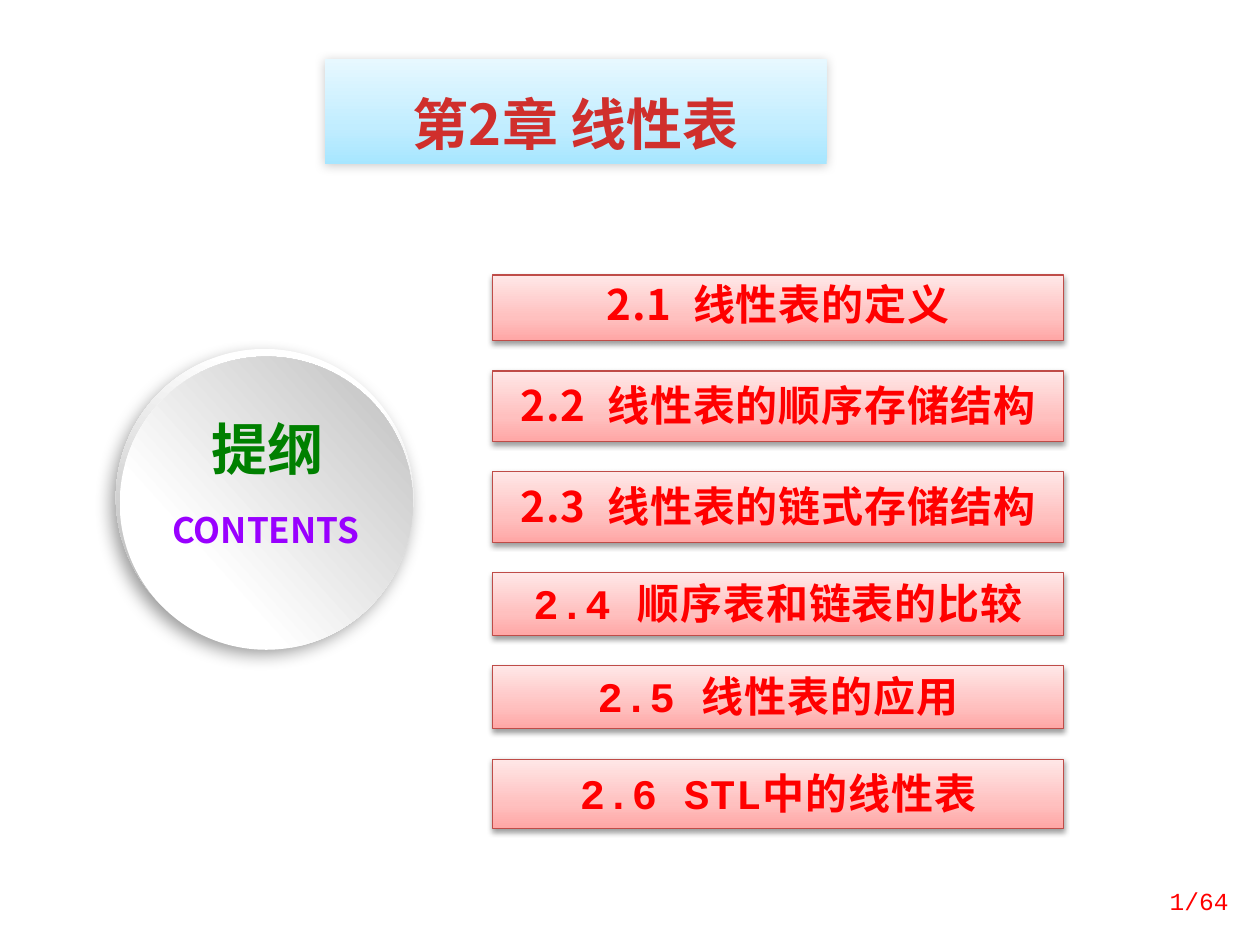
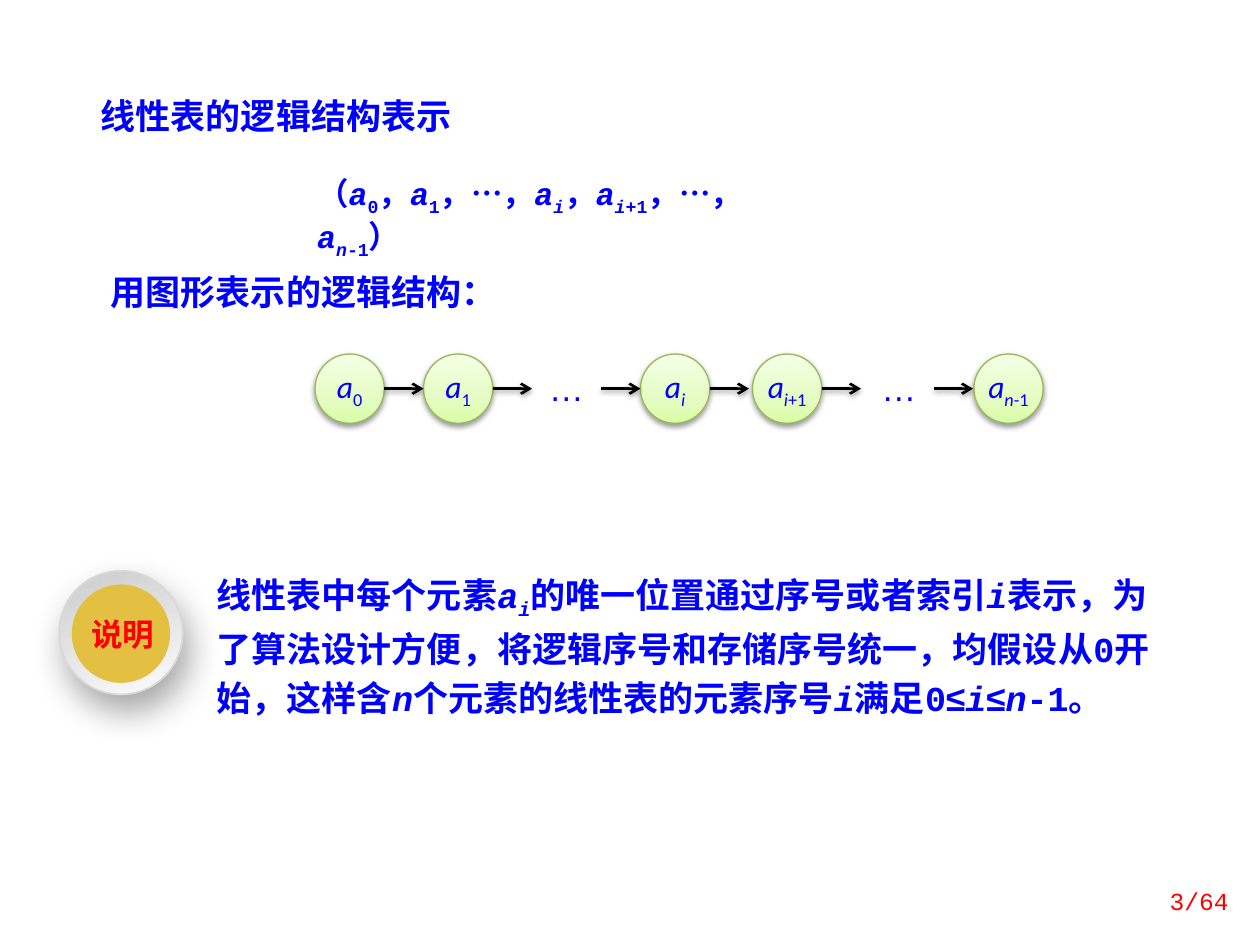
import pptx
import pptx.dml.color
import pptx.enum.dml
import pptx.enum.shapes
import pptx.enum.text
import pptx.oxml
import pptx.oxml.ns
import pptx.util
from dataclasses import dataclass
from lxml import etree

Pt = pptx.util.Pt
qn = pptx.oxml.ns.qn
ALIGN = pptx.enum.text.PP_ALIGN
ANCHOR = pptx.enum.text.MSO_ANCHOR
SHAPE = pptx.enum.shapes.MSO_SHAPE


@dataclass(frozen=True)
class Theme:
    red: str = "FF0000"
    blue: str = "0000FF"
    green: str = "008000"
    purple: str = "9900FF"
    crimson: str = "D02F2C"
    black: str = "000000"
    white: str = "FFFFFF"
    gold: str = "E3BF42"
    bar_line: str = "BF4C48"
    node_line: str = "98B955"
    ring_line: str = "D9D9D9"
    title_fill: tuple = (270, (0, "A7E6FF"), (35, "C1EDFF"), (100, "E7F8FF"))
    bar_fill: tuple = (270, (0, "FFA6A5"), (35, "FFC0BF"), (100, "FFE7E7"))
    node_fill: tuple = (270, (0, "DAFDA7"), (35, "E4FCC2"), (100, "F5FFE7"))
    rim_fill: tuple = (107, (17, "FFFFFF"), (88, "B8B8B8"))
    disc_fill: tuple = (318, (29, "FFFFFF"), (98, "BFBFBF"))
    ring_fill: tuple = (70, (0, "CCCCCC"), (100, "FCFCFC"))
    title_shadow: tuple = (20, 6, 1, 135)
    soft_shadow: tuple = (38, 3.1, 1.6, 90)
    rim_shadow: tuple = (39, 10, 5, 123)
    ring_shadow: tuple = (34, 20, 10, 70)
    chinese: str = "Noto Sans CJK SC"
    heading_face: str = "Noto Sans CJK JP"
    mono: str = "Courier New"
    node_face: str = "Calibri"
    symbol: str = "Arial"
    heading: int = 32
    item: int = 24
    body: int = 20
    small: int = 18
    footer: int = 14


THEME = Theme()

CHAPTER = "第2章 线性表"
OUTLINE = [
    ("2.1", "线性表的定义", THEME.chinese, 37.5, 2.9),
    ("2.2", "线性表的顺序存储结构", THEME.chinese, 40.3, 5.8),
    ("2.3", "线性表的链式存储结构", THEME.chinese, 40.3, 5.8),
    ("2.4", "顺序表和链表的比较", THEME.mono, 36, 3.6),
    ("2.5", "线性表的应用", THEME.mono, 36, 3.6),
    ("2.6", "STL中的线性表", THEME.mono, 39.6, 5.8),
]
LOGIC_TITLE = "线性表的逻辑结构表示"
GRAPH_CAPTION = "用图形表示的逻辑结构："

# styles are letters: i italic, s subscript, y symbol face, g wide gap
A0 = [("a", "i"), ("0", "s")]
A1 = [("a", "i"), ("1", "s")]
AI = [("a", "i"), ("i", "is")]
AI1 = AI + [("+1", "s")]
AN1 = [("a", "i"), ("n", "is"), ("-1", "s")]
COMMA, DOTS = [("，", "")], [("…", "y")]
FORMULA = ([("（", "")] + A0 + COMMA + A1 + COMMA + DOTS + COMMA + AI + COMMA
           + AI1 + COMMA + DOTS + COMMA + AN1 + [("）", "")])
CHAIN = [(180, A0), (242, A1), (304, None), (366, AI), (430, AI1), (494, None), (556.5, AN1)]
NOTE_LABEL = "说明"
NOTE = [("线性表中每个元素", "")] + AI + [
    ("的唯一位置通过序号或者索引", ""), ("i", "i"),
    ("表示，为了算法设计方便，将逻辑序号和存储序号统一，均假设从0开始，这样含", ""),
    ("n", "i"), ("个元素的线性表的元素序号", ""), ("i", "i"), ("满足0", ""),
    ("≤", "y"), ("i", "i"), ("≤", "y"), ("n", "i"), ("-1。", ""),
]


def rgb(color):
    return pptx.dml.color.RGBColor.from_string(color)


def paint(shape, fill, line=None, line_width=0.75):
    if isinstance(fill, str):
        shape.fill.solid()
        shape.fill.fore_color.rgb = rgb(fill)
    else:
        angle, *stops = fill
        shape.fill.background()
        properties = shape._element.spPr
        gradient = etree.Element(qn("a:gradFill"), rotWithShape="1")
        stop_list = etree.SubElement(gradient, qn("a:gsLst"))
        for position, color in stops:
            stop = etree.SubElement(stop_list, qn("a:gs"), pos=str(position * 1000))
            etree.SubElement(stop, qn("a:srgbClr"), val=color)
        etree.SubElement(gradient, qn("a:lin"), ang=str(angle * 60000), scaled="0")
        properties.replace(properties.find(qn("a:noFill")), gradient)
    if line:
        shape.line.color.rgb = rgb(line)
        shape.line.width = Pt(line_width)
    else:
        shape.line.fill.background()


def cast_shadow(shape, shadow):
    properties = shape._element.spPr
    effects = properties.find(qn("a:effectLst"))
    if effects is None:
        effects = etree.SubElement(properties, qn("a:effectLst"))
    alpha, blur, distance, direction = shadow
    outer = etree.SubElement(effects, qn("a:outerShdw"), blurRad=str(int(Pt(blur))),
                             dist=str(int(Pt(distance))), dir=str(direction * 60000),
                             rotWithShape="0")
    color = etree.SubElement(outer, qn("a:srgbClr"), val=THEME.black)
    etree.SubElement(color, qn("a:alpha"), val=str(alpha * 1000))


def add_figure(slide, kind, box, fill, line=None, shadow=None, line_width=0.75):
    shape = slide.shapes.add_shape(kind, *map(Pt, box))
    shape.shadow.inherit = False
    paint(shape, fill, line, line_width)
    if shadow:
        cast_shadow(shape, shadow)
    return shape


def write(shape, pieces, size, color, face, bold=True, align=ALIGN.LEFT, anchor=ANCHOR.TOP,
          insets=(7.2, 3.6, 7.2, 3.6), leading=None, spacing=None, east_asian=THEME.chinese,
          wrap=True):
    frame = shape.text_frame
    frame.word_wrap = wrap
    frame.auto_size = pptx.enum.text.MSO_AUTO_SIZE.NONE
    frame.vertical_anchor = anchor
    frame.margin_left, frame.margin_top, frame.margin_right, frame.margin_bottom = map(Pt, insets)
    paragraph = frame.paragraphs[0]
    paragraph.alignment = align
    if leading:
        paragraph.line_spacing = leading
    font = paragraph.font
    font.size, font.bold, font.name = Pt(size), bold, face
    font.color.rgb = rgb(color)
    defaults = paragraph._p.pPr.find(qn("a:defRPr"))
    if east_asian:
        defaults.find(qn("a:latin")).addnext(
            etree.Element(qn("a:ea"), typeface=east_asian))
    if spacing:
        defaults.set("spc", str(spacing))
    for text, style in [(pieces, "")] if isinstance(pieces, str) else pieces:
        run = paragraph.add_run()
        run.text = text
        if "i" in style:
            run.font.italic = True
        if "y" in style:
            run.font.name = THEME.symbol
        if "s" in style:
            run.font._element.set("baseline", "-25000")
        if "g" in style:
            run.font._element.set("spc", "640")


def add_text(slide, box, pieces, size, color, face, **options):
    write(slide.shapes.add_textbox(*map(Pt, box)), pieces, size, color, face, **options)


def place_title(slide, box, text, size, color, face, **options):
    title = slide.shapes.title
    title.left, title.top, title.width, title.height = map(Pt, box)
    write(title, text, size, color, face, **options)
    return title


def add_page_number(slide, number):
    add_text(slide, (641.5, 500.4, 67.7, 28.8), f"{number}/64", THEME.footer, THEME.red,
             THEME.mono, bold=False, align=ALIGN.RIGHT, anchor=ANCHOR.MIDDLE)


def add_arrow(slide, start, end, y):
    arrow = slide.shapes.add_connector(pptx.enum.shapes.MSO_CONNECTOR.STRAIGHT,
                                       Pt(start), Pt(y), Pt(end), Pt(y))
    arrow.line.color.rgb = rgb(THEME.black)
    arrow.line.width = Pt(1.5)
    etree.SubElement(arrow.line._get_or_add_ln(), qn("a:tailEnd"), type="arrow")
    cast_shadow(arrow, THEME.soft_shadow)


def build_outline(slide):
    title = place_title(slide, (185.8, 33.8, 286.6, 59.8), CHAPTER, THEME.heading,
                        THEME.crimson, THEME.heading_face, align=ALIGN.CENTER,
                        insets=(7.2, 17.3, 7.2, 3.6), east_asian=THEME.heading_face)
    paint(title, THEME.title_fill)
    cast_shadow(title, THEME.title_shadow)

    top, gap = 157.2, 17.3
    for number, topic, face, height, inset in OUTLINE:
        bar = add_figure(slide, SHAPE.RECTANGLE, (281.5, top, 326.2, height),
                         THEME.bar_fill, THEME.bar_line, THEME.soft_shadow)
        space = (" ", "g" if face == THEME.chinese else "")
        write(bar, [(number, ""), space, (topic, "")], THEME.item, THEME.red, face,
              align=ALIGN.CENTER, insets=(7.2, inset, 7.2, inset), leading=Pt(28), spacing=50)
        top += height + gap

    add_figure(slide, SHAPE.OVAL, (66.2, 199.4, 170, 170), THEME.rim_fill,
               shadow=THEME.rim_shadow)
    add_figure(slide, SHAPE.OVAL, (68.4, 203.8, 167.5, 167.5), THEME.disc_fill)
    add_text(slide, (85.7, 287.3, 132.5, 31.7), "CONTENTS", THEME.body, THEME.purple,
             THEME.chinese, align=ALIGN.CENTER)
    add_text(slide, (97.2, 233.3, 110.9, 46.1), "提纲", THEME.heading, THEME.green,
             THEME.chinese, align=ALIGN.CENTER)


def build_chain(slide):
    top, size, step = 202.3, 39.6, 62
    for left, label in CHAIN:
        if label:
            node = add_figure(slide, SHAPE.OVAL, (left, top, size, size), THEME.node_fill,
                              THEME.node_line, THEME.soft_shadow)
            write(node, label, THEME.small, THEME.blue, THEME.node_face, bold=False,
                  align=ALIGN.CENTER, anchor=ANCHOR.MIDDLE, insets=(0, 3.6, 0, 3.6),
                  leading=0.8)
        else:
            add_text(slide, (left + 2.5, 205.9, size, 31.7), "…", THEME.body, THEME.blue,
                     THEME.symbol, bold=False, east_asian=None)
    for left, _ in CHAIN[:-1]:
        add_arrow(slide, left + size, left + step, top + size / 2)


def build_logic(slide):
    place_title(slide, (50.4, 50.4, 264.2, 31.7), LOGIC_TITLE, THEME.body, THEME.blue,
                THEME.chinese)
    add_text(slide, (174.2, 95.8, 298.1, 28.8), FORMULA, THEME.small, THEME.blue, THEME.mono)
    add_text(slide, (56.2, 151.2, 236.2, 31.7), GRAPH_CAPTION, THEME.body, THEME.blue,
             THEME.chinese)
    build_chain(slide)

    note = add_figure(slide, SHAPE.RECTANGLE, (112.3, 318.2, 562.3, 102.2), THEME.white)
    write(note, NOTE, THEME.body, THEME.blue, THEME.mono, insets=(11.5, 8.6, 7.2, 8.6),
          leading=Pt(28))
    add_figure(slide, SHAPE.OVAL, (33.8, 326.2, 70.6, 70.6), THEME.ring_fill,
               THEME.ring_line, THEME.ring_shadow, line_width=1)
    add_figure(slide, SHAPE.OVAL, (41, 334, 56.2, 56.2), THEME.gold)
    add_text(slide, (44.6, 352.1, 51.1, 24.5), NOTE_LABEL, THEME.small, THEME.red,
             THEME.chinese, align=ALIGN.CENTER, leading=0.8, wrap=False)


def main():
    presentation = pptx.Presentation()
    presentation.slide_width, presentation.slide_height = Pt(720), Pt(540)
    for page, build in [(1, build_outline), (3, build_logic)]:
        slide = presentation.slides.add_slide(presentation.slide_layouts[5])
        build(slide)
        add_page_number(slide, page)
    presentation.save("out.pptx")


if __name__ == "__main__":
    main()
